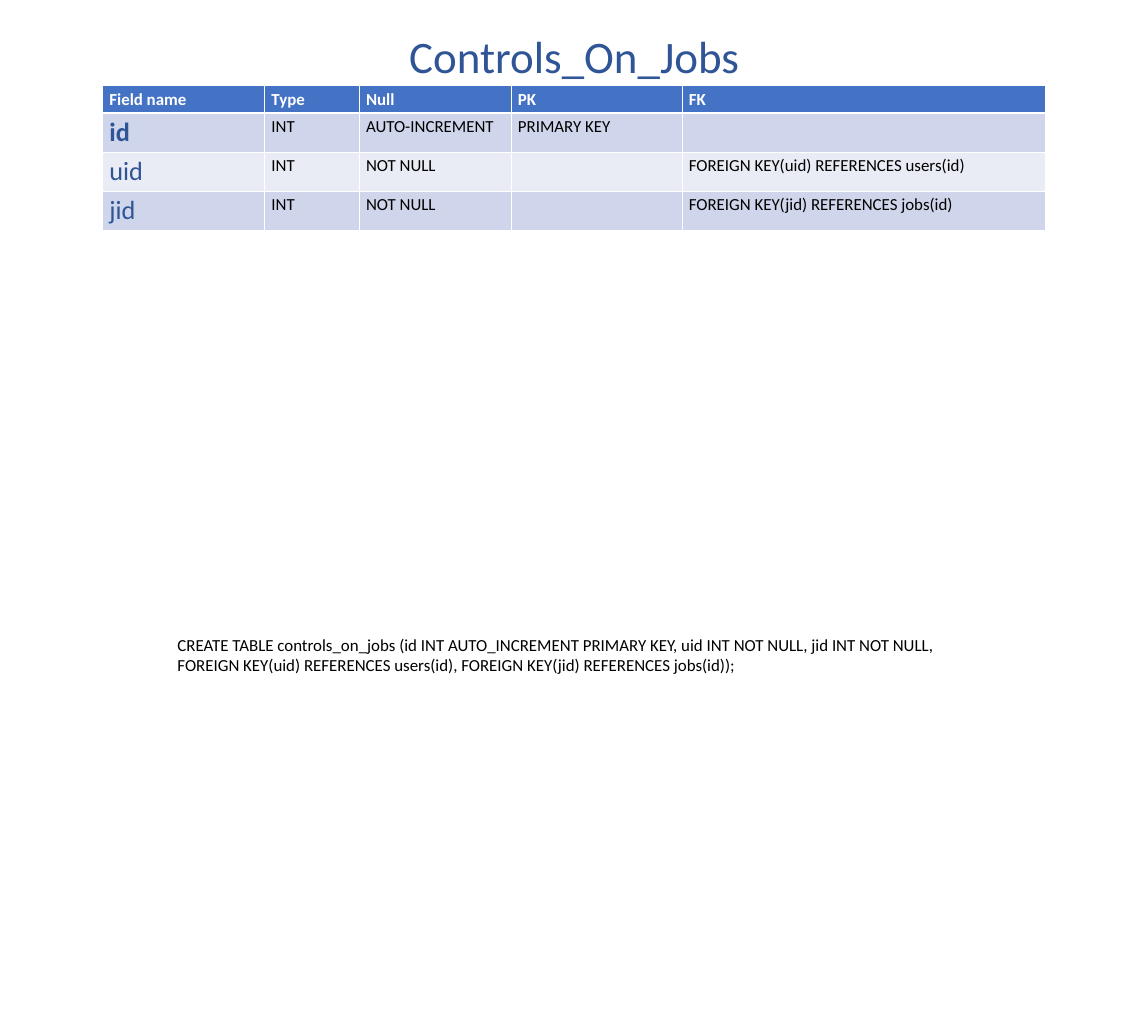
"""Build the slide that describes the Controls_On_Jobs database table."""
from dataclasses import dataclass

from lxml import etree
from pptx import Presentation
from pptx import util as u
from pptx.dml.color import RGBColor
from pptx.enum import text
from pptx.oxml import ns

TITLE = "Controls_On_Jobs"
HEADERS = ("Field name", "Type", "Null", "PK", "FK")
FIELDS = (
    ("id", "INT", "AUTO-INCREMENT", "PRIMARY KEY", ""),
    ("uid", "INT", "NOT NULL", "", "FOREIGN KEY(uid) REFERENCES users(id)"),
    ("jid", "INT", "NOT NULL", "", "FOREIGN KEY(jid) REFERENCES jobs(id)"),
)
STATEMENT = (
    "CREATE TABLE controls_on_jobs (id INT AUTO_INCREMENT PRIMARY KEY, "
    "uid INT NOT NULL, jid INT NOT NULL, FOREIGN KEY(uid) REFERENCES users(id), "
    "FOREIGN KEY(jid) REFERENCES jobs(id));"
)
COLUMN_WIDTHS = (2.4, 1.4, 2.25, 2.53, 5.38)
HEADER_HEIGHT, FIELD_HEIGHT = 0.4, 0.58


@dataclass(frozen=True)
class Theme:
    """Colours, font and sizes of the slide."""
    font: str = "Calibri"
    accent: str = "2F5597"
    header: str = "4472C4"
    bands: tuple = ("CFD5EA", "E9EBF5")
    ink: str = "000000"
    white: str = "FFFFFF"
    title_size: int = 48
    field_size: int = 28
    body_size: int = 18
    thin: int = 1
    thick: int = 3


THEME = Theme()


def write(frame, words, size=THEME.body_size, color=THEME.ink, bold=False,
          align=text.PP_ALIGN.LEFT):
    """Put one formatted paragraph into a text frame."""
    para = frame.paragraphs[0]
    para.alignment = align
    para.font.size = u.Pt(size)
    if words:
        span = para.add_run()
        span.text = words
        span.font.name = THEME.font
        span.font.size = u.Pt(size)
        span.font.bold = bold
        span.font.color.rgb = RGBColor.from_string(color)


def add_text(page, left, top, width, height, words, **style):
    """Add a wrapping text box."""
    box = page.shapes.add_textbox(*map(u.Inches, (left, top, width, height)))
    box.text_frame.word_wrap = True
    write(box.text_frame, words, **style)


def paint(cell, fill, **widths):
    """Draw the white borders of a cell and fill it."""
    props = cell._tc.get_or_add_tcPr()
    for side in "LRTB":
        width = u.Pt(widths.get(side, THEME.thin))
        line = etree.SubElement(props, ns.qn(f"a:ln{side}"), w=str(width))
        solid = etree.SubElement(line, ns.qn("a:solidFill"))
        etree.SubElement(solid, ns.qn("a:srgbClr"), val=THEME.white)
    cell.fill.solid()
    cell.fill.fore_color.rgb = RGBColor.from_string(fill)


def add_fields(page, left, top):
    """Add the table of fields."""
    heights = [HEADER_HEIGHT] + [FIELD_HEIGHT] * len(FIELDS)
    size = map(u.Inches, (left, top, sum(COLUMN_WIDTHS), sum(heights)))
    table = page.shapes.add_table(len(heights), len(HEADERS), *size).table
    for column, width in zip(table.columns, COLUMN_WIDTHS):
        column.width = u.Inches(width)
    for row, height in zip(table.rows, heights):
        row.height = u.Inches(height)
    for col, words in enumerate(HEADERS):
        cell = table.cell(0, col)
        paint(cell, THEME.header, B=THEME.thick)
        write(cell.text_frame, words, color=THEME.white, bold=True)
    for row, field in enumerate(FIELDS, 1):
        for col, words in enumerate(field):
            cell = table.cell(row, col)
            paint(cell, THEME.bands[(row - 1) % 2],
                  T=THEME.thick if row == 1 else THEME.thin)
            style = {}
            if col == 0:
                style = dict(size=THEME.field_size, color=THEME.accent,
                             bold=bool(field[3]))
            write(cell.text_frame, words, **style)


deck = Presentation()
deck.slide_width, deck.slide_height = u.Inches(17), u.Inches(15)
page = deck.slides.add_slide(deck.slide_layouts[6])
add_fields(page, 1.52, 1.27)
add_text(page, 5.67, 0.37, 5.67, 0.91, TITLE, size=THEME.title_size,
         color=THEME.accent, align=text.PP_ALIGN.CENTER)
add_text(page, 2.53, 9.35, 11.85, 0.71, STATEMENT)
deck.save("out.pptx")
